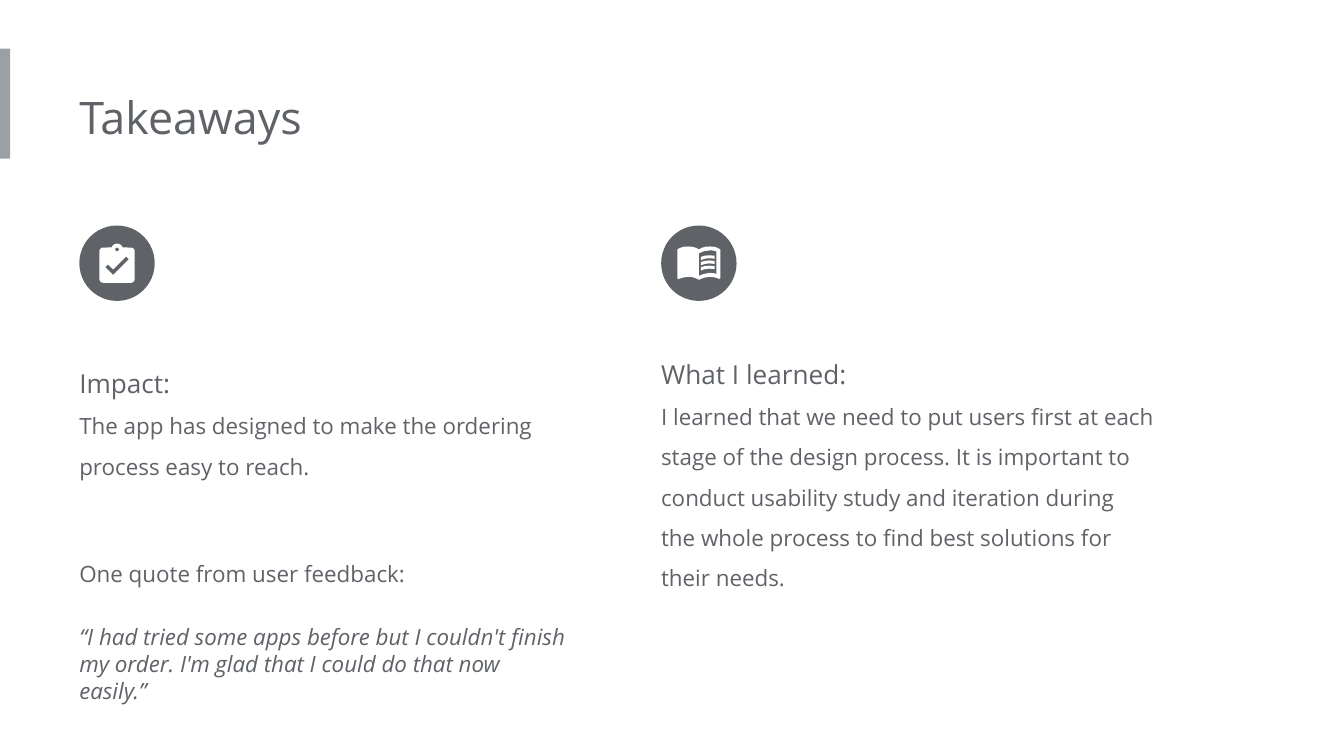
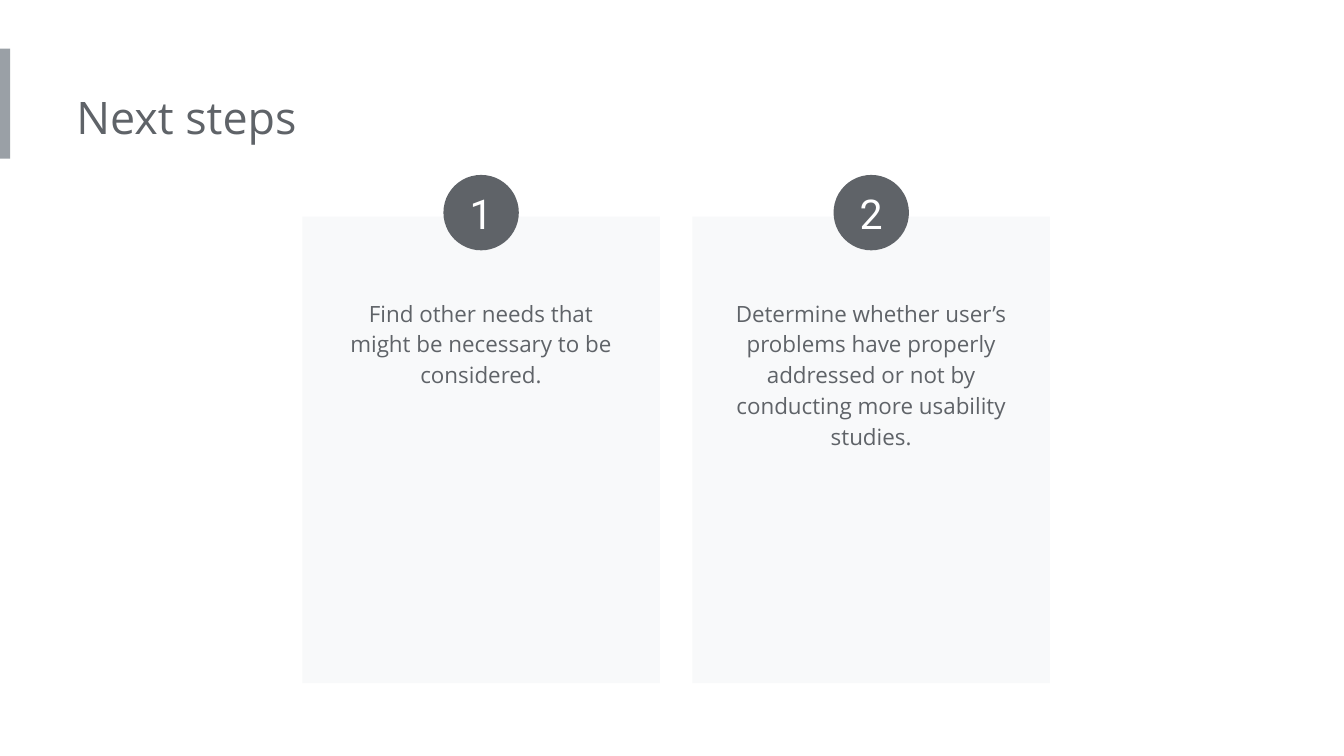
from math import cos, radians, sin

from pptx import Presentation
from pptx.dml.color import RGBColor
from pptx.enum.shapes import MSO_SHAPE as Shape
from pptx.enum.text import MSO_ANCHOR as Anchor, MSO_AUTO_SIZE as AutoSize, PP_ALIGN as Align
from pptx.util import Pt

COLORS = {"ink": "5F6368", "accent": "9AA0A6", "card": "F8F9FA", "white": "FFFFFF"}
BODY_FONT, NUMBER_FONT = "Open Sans", "Roboto"
INSET = 7.2
BADGE = 40.4
ICON_UNIT = 1.05  # points per unit of the icon grid


def arc(cx, cy, radius, start, end, steps=8):
    """Points along an arc; angles in degrees, clockwise from the right."""
    angles = [radians(start + (end - start) * i / steps) for i in range(steps + 1)]
    return [(cx + radius * cos(a), cy + radius * sin(a)) for a in angles]


# Icons: contours on a grid of 24 units
CLIPBOARD = [
    arc(5, 5, 2, 180, 270) + arc(12, 4, 3, 200, 340) + arc(19, 5, 2, 270, 360)
    + arc(19, 19, 2, 0, 90) + arc(5, 19, 2, 90, 180),
    arc(12, 4, 1, 0, 360),
    [(10, 17), (6, 13), (7.41, 11.59), (10, 14.17), (16.59, 7.58), (18, 9)],
]
BOOK = [
    [(1, 6), (2.5, 5.2), (4.4, 4.65), (6.5, 4.5), (8.5, 4.65), (10.5, 5.2), (12, 6),
     (13.5, 5.2), (15.5, 4.65), (17.5, 4.5), (19.3, 4.6), (21, 5), (23, 6),
     (23, 20.6), (22.5, 21.1), (20, 20.25), (17.5, 20), (14.5, 20.45), (12, 21.5),
     (10.5, 20.7), (8.5, 20.15), (6.5, 20), (4, 20.35), (1.5, 21.15), (1, 20.65)],
    [(21, 18.5), (19.3, 18.1), (17.5, 18), (14.5, 18.5), (12, 19.5), (12, 8),
     (14.5, 6.95), (17.5, 6.5), (19.3, 6.6), (21, 7)],
]
BOOK_LINE = [(13, 9.83), (15, 9.2), (17.5, 9), (20, 9.24), (20, 10.76),
             (17.5, 10.5), (15, 10.75), (13, 11.49)]
BOOK += [[(x, y + 2.66 * i) for x, y in BOOK_LINE] for i in range(3)]


class Deck:
    def __init__(self):
        self.prs = Presentation()
        self.prs.slide_width, self.prs.slide_height = Pt(720), Pt(405)
        self.slide = None

    def new_slide(self, title, title_left):
        self.slide = self.prs.slides.add_slide(self.prs.slide_layouts[6])
        self.block(Shape.RECTANGLE, 0, 26, 5.5, 59, "accent")
        self.text(title_left, 41, 388, 44, [dict(text=title, size=24)], left_inset=0)

    def paint(self, shape, color):
        shape.shadow.inherit = False
        shape.fill.solid()
        shape.fill.fore_color.rgb = RGBColor.from_string(COLORS[color])
        shape.line.fill.background()

    def block(self, kind, left, top, width, height, color):
        shape = self.slide.shapes.add_shape(kind, Pt(left), Pt(top), Pt(width), Pt(height))
        self.paint(shape, color)
        return shape

    def fill_paragraph(self, paragraph, text, size, color="ink", font=BODY_FONT, italic=None,
                       align=Align.LEFT, spacing=None, before=None):
        paragraph.alignment = align
        if spacing:
            paragraph.line_spacing = spacing
        if before:
            paragraph.space_before = Pt(before)
        run = paragraph.add_run()
        run.text = text
        run.font.size, run.font.name, run.font.italic = Pt(size), font, italic
        run.font.color.rgb = RGBColor.from_string(COLORS[color])

    def text(self, left, top, width, height, paragraphs, left_inset=INSET):
        box = self.slide.shapes.add_textbox(Pt(left), Pt(top), Pt(width), Pt(height))
        frame = box.text_frame
        frame.word_wrap = True
        frame.auto_size = AutoSize.SHAPE_TO_FIT_TEXT
        frame.margin_left = Pt(left_inset)
        frame.margin_top = frame.margin_right = frame.margin_bottom = Pt(INSET)
        for i, content in enumerate(paragraphs):
            paragraph = frame.add_paragraph() if i else frame.paragraphs[0]
            self.fill_paragraph(paragraph, **content)

    def badge(self, left, top, number=None):
        circle = self.block(Shape.OVAL, left, top, BADGE, BADGE, "ink")
        if number:
            frame = circle.text_frame
            frame.margin_left = frame.margin_top = frame.margin_right = frame.margin_bottom = 0
            frame.vertical_anchor = Anchor.MIDDLE
            self.fill_paragraph(frame.paragraphs[0], str(number), 22, "white", NUMBER_FONT,
                                align=Align.CENTER)

    def icon(self, contours, left, top, middle):
        """Badge with a white icon; middle is the icon's centre row on its grid."""
        self.badge(left, top)
        x0 = left + BADGE / 2 - 12 * ICON_UNIT
        y0 = top + BADGE / 2 - middle * ICON_UNIT
        placed = [[(Pt(x0 + x * ICON_UNIT), Pt(y0 + y * ICON_UNIT)) for x, y in contour]
                  for contour in contours]
        builder = self.slide.shapes.build_freeform(*placed[0][0])
        for i, points in enumerate(placed):
            if i:
                builder.move_to(*points[0])
            builder.add_line_segments(points[1:], close=True)
        self.paint(builder.convert_to_shape(), "white")


def takeaways(deck):
    deck.new_slide("Takeaways", 42.5)
    impact = [
        dict(text="Impact:", size=14, spacing=1.5),
        dict(text="The app has designed to make the ordering process easy to reach.",
             size=12, spacing=1.5),
        dict(text="One quote from user feedback:", size=12, before=43.2),
        dict(text="“I had tried some apps before but I couldn't finish my order. "
                  "I'm glad that I could do that now easily.”",
             size=12, italic=True, before=19.2),
    ]
    learned = [
        dict(text="What I learned:", size=14, spacing=1.5),
        dict(text="I learned that we need to put users first at each stage of the design "
                  "process. It is important to conduct usability study and iteration during "
                  "the whole process to find best solutions for their needs.",
             size=12, spacing=1.5),
    ]
    columns = [(42.5, 181.4, 204.5, impact, CLIPBOARD, 11),
               (354.2, 176.4, 149, learned, BOOK, 13)]
    for left, top, height, paragraphs, contours, middle in columns:
        deck.text(left, top, 271.4, height, paragraphs, left_inset=0)
        deck.icon(contours, left, 120.8, middle)


def next_steps(deck):
    deck.new_slide("Next steps", 41)
    steps = [
        ("Find other needs that might be necessary to be considered.", 64.8),
        ("Determine whether user’s problems have properly addressed or not by "
         "conducting more usability studies.", 97.9),
    ]
    card_width, text_width = 191.5, 161.3
    for i, (step, height) in enumerate(steps):
        left = 162 + 209 * i
        center = left + card_width / 2
        deck.block(Shape.RECTANGLE, left, 116, card_width, 250, "card")
        deck.text(center - text_width / 2, 151.2, text_width, height,
                  [dict(text=step, size=12, align=Align.CENTER, spacing=1.15)])
        deck.badge(center - BADGE / 2, 93.7, i + 1)


def main():
    deck = Deck()
    takeaways(deck)
    next_steps(deck)
    deck.prs.save("out.pptx")


if __name__ == "__main__":
    main()
